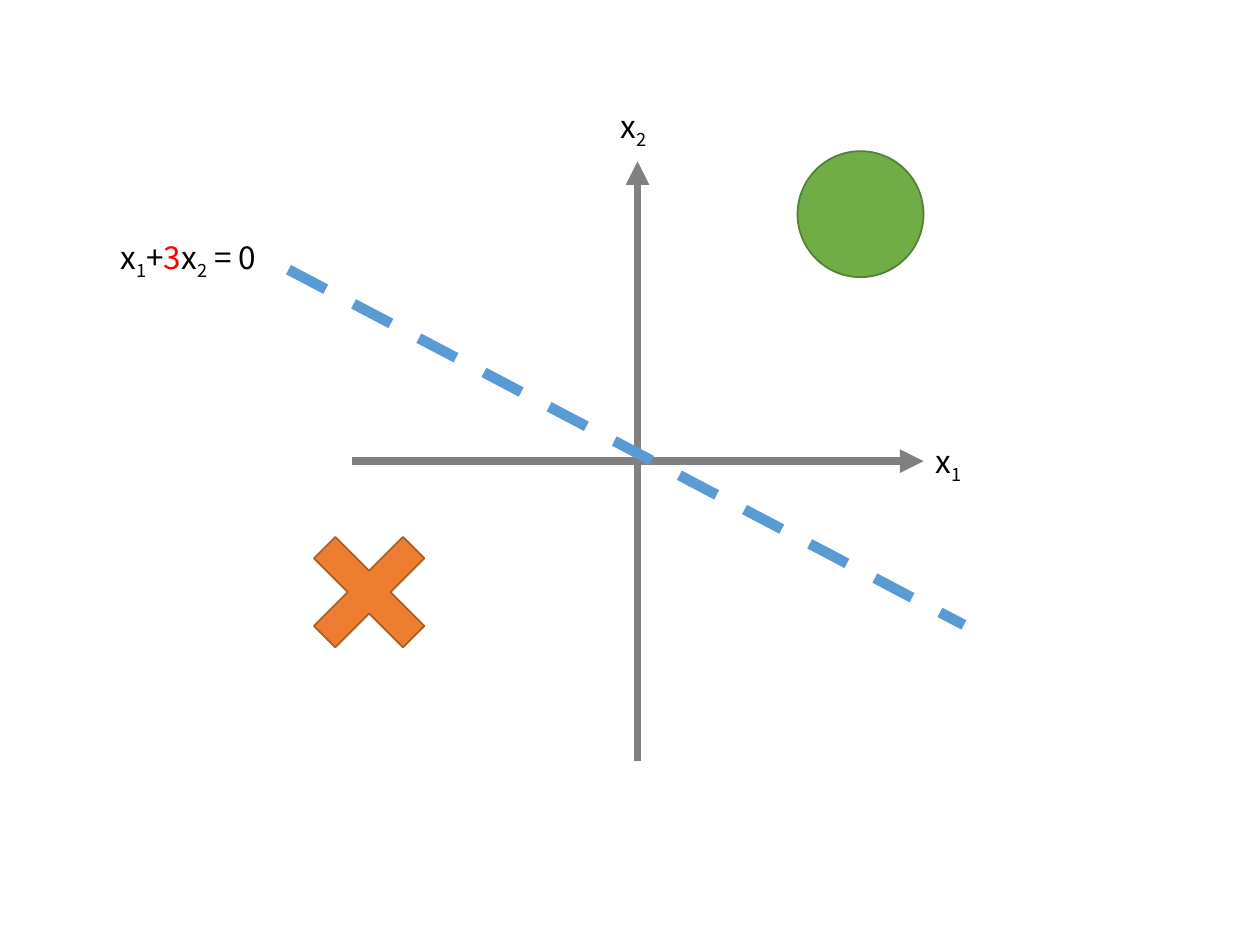
import dataclasses

import pptx
import pptx.dml.color
import pptx.enum.dml
import pptx.enum.shapes
import pptx.enum.text
import pptx.oxml.ns
import pptx.util
from lxml import etree

Inches = pptx.util.Inches
Pt = pptx.util.Pt
RGB = pptx.dml.color.RGBColor.from_string
SHAPE = pptx.enum.shapes.MSO_SHAPE
qn = pptx.oxml.ns.qn


@dataclasses.dataclass(frozen=True)
class Theme:
    font: str = "Noto Sans CJK KR"
    label_size: int = 18
    text: str = "000000"
    weight: str = "FF0000"
    axis: str = "808080"
    boundary: str = "5B9BD5"
    positive: str = "70AD47"
    positive_edge: str = "538035"
    negative: str = "ED7D31"
    negative_edge: str = "AF5C24"


theme = Theme()


def add_line(slide, start, end, color, width):
    line = slide.shapes.add_connector(
        pptx.enum.shapes.MSO_CONNECTOR.STRAIGHT, *map(Inches, start + end))
    line.line.color.rgb = RGB(color)
    line.line.width = Pt(width)
    etree.SubElement(line._element.spPr, qn("a:effectLst"))
    return line


def add_label(slide, box, parts, wrap=False):
    """Add a formula; each part is (text, style), style "sub", "weight" or ""."""
    label = slide.shapes.add_textbox(*map(Inches, box))
    frame = label.text_frame
    frame.word_wrap = wrap
    frame.auto_size = pptx.enum.text.MSO_AUTO_SIZE.SHAPE_TO_FIT_TEXT
    formula = frame.paragraphs[0]
    formula.font.name = theme.font
    formula.font.size = Pt(theme.label_size)
    formula.font.color.rgb = RGB(theme.text)
    for text, style in parts:
        run = formula.add_run()
        run.text = text
        if style == "sub":
            run._r.get_or_add_rPr().set("baseline", "-25000")
        elif style == "weight":
            run.font.color.rgb = RGB(theme.weight)


prs = pptx.Presentation()
prs.slide_width, prs.slide_height = Inches(10), Inches(7.5)
slide = prs.slides.add_slide(prs.slide_layouts[6])

# Axes
add_label(slide, (4.83, 0.8, 0.41, 0.4), [("x", ""), ("2", "sub")])
for start, end in [((2.79, 3.66), (7.33, 3.66)), ((5.06, 6.04), (5.06, 1.28))]:
    axis = add_line(slide, start, end, theme.axis, 4.5)
    etree.SubElement(axis.line._get_or_add_ln(), qn("a:tailEnd"), type="triangle")

# Decision boundary
boundary = add_line(slide, (2.29, 2.14), (7.65, 4.96), theme.boundary, 6)
boundary.line.dash_style = pptx.enum.dml.MSO_LINE.DASH
add_label(slide, (0.86, 1.84, 1.43, 0.4),
          [("x", ""), ("1", "sub"), ("+", ""), ("3", "weight"),
           ("x", ""), ("2", "sub"), (" = 0", "")])
add_label(slide, (7.33, 3.46, 0.9, 0.4), [("x", ""), ("1", "sub")], wrap=True)

# One sample of each class
samples = [
    (SHAPE.OVAL, 6.33, 1.2, theme.positive, theme.positive_edge),
    (SHAPE.CROSS, 2.43, 4.2, theme.negative, theme.negative_edge),
]
for kind, left, top, fill, edge in samples:
    sample = slide.shapes.add_shape(
        kind, Inches(left), Inches(top), Inches(1), Inches(1))
    sample.shadow.inherit = False
    sample.fill.solid()
    sample.fill.fore_color.rgb = RGB(fill)
    sample.line.color.rgb = RGB(edge)
    sample.line.width = Pt(1)
    if kind == SHAPE.CROSS:
        sample.adjustments[0] = 0.38
        sample.rotation = 45

prs.save("out.pptx")
